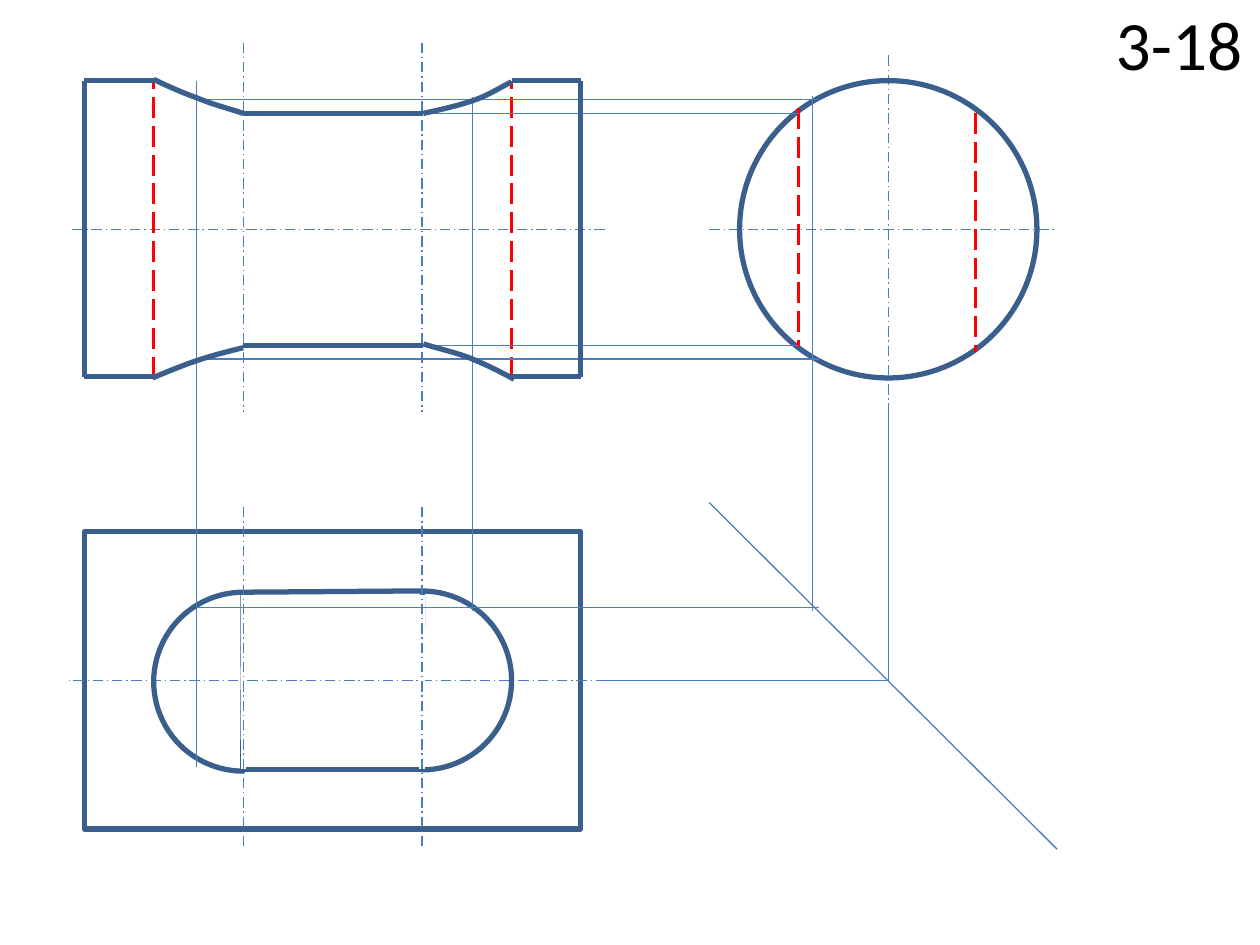
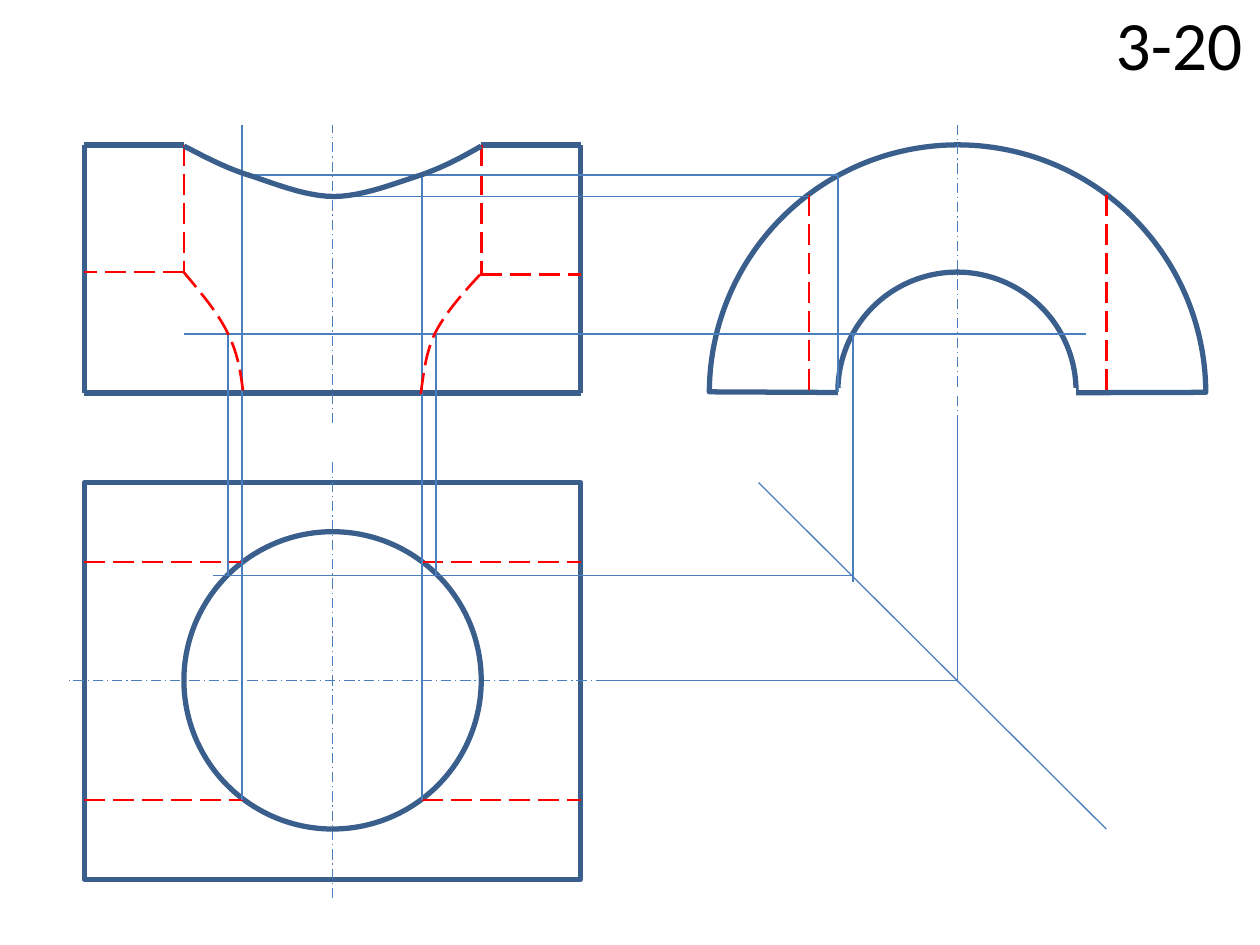
from lxml.etree import SubElement
from pptx import Presentation
from pptx.dml.color import RGBColor
from pptx.enum.dml import MSO_LINE
from pptx.enum.shapes import MSO_CONNECTOR, MSO_SHAPE
from pptx.enum.text import MSO_ANCHOR, MSO_AUTO_SIZE, PP_ALIGN
from pptx.oxml.ns import qn
from pptx.util import Inches, Pt

NAVY = RGBColor(0x3A, 0x5F, 0x8C)
BLUE = RGBColor(0x4B, 0x7E, 0xBC)
RED = RGBColor(0xFF, 0x00, 0x00)
WHITE = RGBColor(0xFF, 0xFF, 0xFF)
BLACK = RGBColor(0x00, 0x00, 0x00)
FONT = "Calibri"

# Pen: colour, width in points, dash
EDGE = (NAVY, 3, None)
AXIS = (BLUE, 0.75, MSO_LINE.LONG_DASH_DOT)
GUIDE = (BLUE, 0.75, None)
HIDDEN = (RED, 1.5, MSO_LINE.LONG_DASH)
ERASE = (WHITE, 3, None)
MASK = (WHITE, 2, None)
WIPE = (WHITE, 4.5, None)

# Edges shared by the front and top views, and the axis of the top view
LEFT, RIGHT = 0.67, 4.61
WIDTH = RIGHT - LEFT
MID = 5.4
HALF = (108.17, 215.9)  # pie angles for the upper half


def write(shape, text, size=18, color=BLACK, align=PP_ALIGN.LEFT):
    frame = shape.text_frame
    frame.word_wrap = True
    frame.auto_size = MSO_AUTO_SIZE.NONE
    frame.vertical_anchor = MSO_ANCHOR.MIDDLE
    para = frame.paragraphs[0]
    para.text = text
    para.alignment = align
    para.font.name = FONT
    para.font.size = Pt(size)
    para.font.color.rgb = color


def ink(line, pen):
    color, width, dash = pen
    line.color.rgb = color
    line.width = Pt(width)
    if dash:
        line.dash_style = dash


def draw(slide, pen, *lines):
    """Draw straight lines, each given as x1, y1, x2, y2."""
    for ends in lines:
        link = slide.shapes.add_connector(
            MSO_CONNECTOR.STRAIGHT, *[Inches(v) for v in ends])
        ink(link.line, pen)
        SubElement(link._element.spPr, qn("a:effectLst"))


def shape(slide, kind, box, pen=EDGE, fill=None, turn=0, angles=()):
    item = slide.shapes.add_shape(kind, *[Inches(v) for v in box])
    item.shadow.inherit = False
    item.rotation = turn
    for i, angle in enumerate(angles):
        item.adjustments[i] = angle
    if fill is None:
        item.fill.background()
    else:
        item.fill.solid()
        item.fill.fore_color.rgb = fill
    ink(item.line, pen)


def bezier(a, b, c, d, t):
    s = 1 - t
    return tuple(s**3 * p + 3 * s * s * t * q + 3 * s * t * t * r + t**3 * u
                 for p, q, r, u in zip(a, b, c, d))


def curve(slide, pen, *points, steps=12):
    """Draw a chain of cubic curves: a start, then three points for each."""
    spots = [bezier(*points[i:i + 4], n / steps)
             for i in range(0, len(points) - 1, 3)
             for n in range(1, steps + 1)]
    spots = [(Inches(x), Inches(y)) for x, y in spots]
    x, y = points[0]
    path = slide.shapes.build_freeform(Inches(x), Inches(y))
    path.add_line_segments(spots, close=False)
    item = path.convert_to_shape()
    item.shadow.inherit = False
    item.fill.background()
    ink(item.line, pen)


def start(deck, name):
    slide = deck.slides.add_slide(deck.slide_layouts[5])
    title = slide.shapes.title
    title.left, title.top = Inches(0.96), Inches(0)
    title.width, title.height = Inches(9), Inches(0.68)
    write(title, name, size=39.6, align=PP_ALIGN.RIGHT)
    return slide


def fold(slide, axis, corner):
    """Carry the two axes to the 45 degree line."""
    x, y = corner
    draw(slide, GUIDE, (RIGHT + 0.2, MID, axis, MID),
         (axis, MID - 2.2 if axis < 7.5 else MID - 2.04, axis, MID + 0.01),
         (x, y, x + 2.76, y + 2.75))


def slot(deck):
    slide = start(deck, "3-18")
    top, base, axis = 0.64, 2.99, 7.05
    ends, sides = (1.22, 4.06), (1.93, 3.35)

    # Outlines and axes of the three views
    draw(slide, AXIS, (4.8, 1.82, 0.55, 1.82))
    shape(slide, MSO_SHAPE.RECTANGLE, (LEFT, 4.22, WIDTH, 2.36))
    draw(slide, AXIS, (4.81, MID, 0.55, MID),
         (5.63, 1.82, 8.39, 1.82), (axis, 0.44, axis, 3.2))
    shape(slide, MSO_SHAPE.OVAL, (5.87, top, 2.36, 2.36))

    # Round-ended slot in the top view
    for x, y, turn in ((2.64, 4.69, 90), (1.22, 4.7, 270)):
        shape(slide, MSO_SHAPE.PIE, (x, y, 1.42, 1.42), turn=turn, angles=HALF)
    draw(slide, HIDDEN, *[(x, 3, x, top) for x in ends])
    draw(slide, EDGE, (3.35, 4.69, 1.93, 4.7), (3.35, 6.11, 1.93, 6.11))
    for x in sides:
        draw(slide, ERASE, (x, 4.72, x, 6.1))
        draw(slide, AXIS, (x, 0.34, x, 6.74))
    shape(slide, MSO_SHAPE.RECTANGLE, (1.22, 3.28, 2.83, 0.71), MASK, WHITE)

    # Slot walls in the side view, and projection lines
    draw(slide, HIDDEN, (6.34, 0.86, 6.34, 2.75), (7.74, 0.9, 7.74, 2.79))
    draw(slide, GUIDE, *[(6.34, y, 1.93, y) for y in (0.9, 2.74)],
         (1.56, top, 1.56, 6.09))
    fold(slide, axis, (5.63, 3.99))
    draw(slide, GUIDE, *[(6.5, y, 1.56, y) for y in (4.82, 2.85, 0.79)],
         (6.45, 4.85, 6.45, 0.76), (3.75, 4.85, 3.75, 0.77))

    # Front view
    draw(slide, EDGE, *[(x, top, x, base) for x in (LEFT, RIGHT)])
    for y in (top, base):
        draw(slide, EDGE, (LEFT, y, ends[0], y), (ends[1], y, RIGHT, y))
    curve(slide, EDGE, (1.21, 3), (1.33, 2.95), (1.45, 2.9), (1.57, 2.86),
          (1.69, 2.82), (1.81, 2.79), (1.93, 2.76))
    curve(slide, EDGE, (3.36, 2.73), (3.49, 2.77), (3.63, 2.8), (3.75, 2.85),
          (3.87, 2.9), (3.97, 2.95), (4.08, 3.01))
    curve(slide, EDGE, (1.22, 0.63), (1.34, 0.69), (1.46, 0.74), (1.57, 0.78),
          (1.69, 0.83), (1.81, 0.86), (1.93, 0.9))
    curve(slide, EDGE, (3.36, 0.9), (3.5, 0.87), (3.63, 0.84), (3.75, 0.8),
          (3.87, 0.76), (3.96, 0.7), (4.06, 0.65))
    draw(slide, EDGE, *[(1.93, y, 3.36, y) for y in (0.9, 2.74)])


def arch(deck):
    slide = start(deck, "3-20")
    top, base, axis = 1.15, 3.12, 7.6
    hole = (1.46, 3.82)

    # Outlines and axes of the front and top views
    shape(slide, MSO_SHAPE.RECTANGLE, (LEFT, 3.83, WIDTH, 3.15))
    draw(slide, AXIS, (4.81, MID, 0.55, MID))
    draw(slide, ERASE, (1.93, 4.72, 1.93, 6.1))
    draw(slide, EDGE, (RIGHT, top, RIGHT, base), (RIGHT, base, LEFT, base),
         (LEFT, top, LEFT, base))
    draw(slide, AXIS, (2.64, 3.67, 2.64, 7.14), (2.64, 3.36, 2.64, 0.99))
    shape(slide, MSO_SHAPE.OVAL, (hole[0], 4.22, 2.36, 2.36))
    for y in (4.46, 6.35):
        draw(slide, HIDDEN, (LEFT, y, 1.93, y), (3.35, y, RIGHT, y))

    # Half rings of the side view
    shape(slide, MSO_SHAPE.PIE, (5.63, top, 3.94, 3.94), angles=HALF)
    draw(slide, AXIS, (axis, 0.99, axis, 3.36))
    shape(slide, MSO_SHAPE.PIE, (6.65, 2.16, 1.89, 1.89), angles=HALF)
    draw(slide, HIDDEN, *[(x, 1.55, x, base) for x in (6.42, 8.78)])

    # Hole walls in the front view
    for x, side, y in zip(hole, (LEFT, RIGHT), (2.16, 2.18)):
        draw(slide, EDGE, (side, top, x, top))
        draw(slide, HIDDEN, (x, top, x, y), (x, y, side, y))
    draw(slide, WIPE, (6.65, 3.11, 8.54, 3.11))

    # Projection lines and curves where the cylinders meet
    draw(slide, GUIDE, (6.42, 1.56, 2.64, 1.56), (1.92, 6.35, 1.92, 0.99),
         (6.65, 3.11, 6.65, 1.39), (6.65, 1.39, 1.93, 1.39),
         (3.35, 6.35, 3.35, 1.39))
    curve(slide, EDGE, (1.46, 1.16), (1.6, 1.23), (1.74, 1.31), (1.94, 1.38),
          (2.14, 1.44), (2.41, 1.56), (2.65, 1.56),
          (2.88, 1.56), (3.15, 1.45), (3.34, 1.39),
          (3.54, 1.32), (3.68, 1.24), (3.82, 1.16))
    draw(slide, GUIDE, (8.62, 2.65, 1.46, 2.65))
    fold(slide, axis, (6.02, 3.83))
    draw(slide, GUIDE, (6.77, 2.65, 6.77, 4.62), (6.77, 4.57, 1.69, 4.57),
         *[(x, 4.57, x, 2.65) for x in (1.81, 3.46)])
    curve(slide, HIDDEN, (3.81, 2.18), (3.67, 2.33), (3.53, 2.49), (3.45, 2.65),
          (3.38, 2.8), (3.36, 2.97), (3.34, 3.13))
    curve(slide, HIDDEN, (1.45, 2.15), (1.59, 2.32), (1.73, 2.48), (1.81, 2.65),
          (1.89, 2.81), (1.91, 2.96), (1.93, 3.11))


def main():
    deck = Presentation()
    deck.slide_width, deck.slide_height = Inches(10), Inches(7.5)
    slot(deck)
    arch(deck)
    deck.save("out.pptx")


if __name__ == "__main__":
    main()
